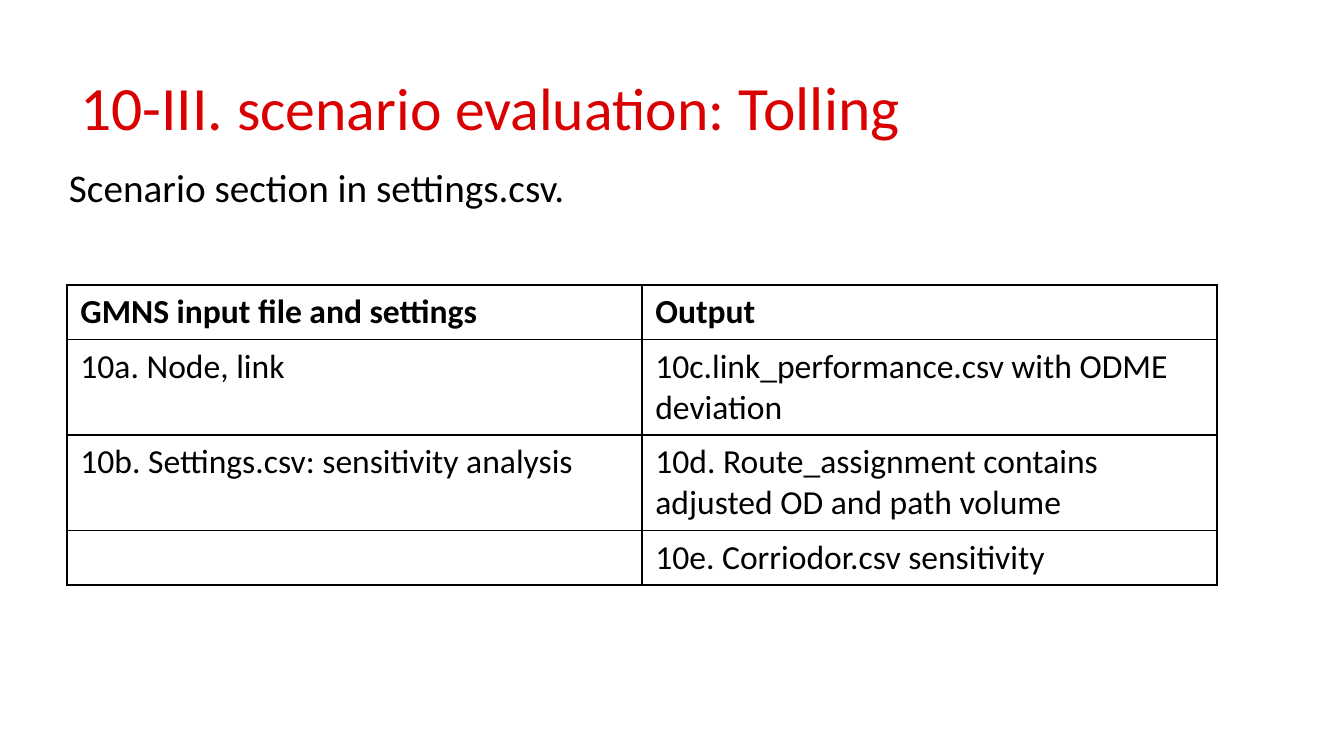
from lxml.etree import SubElement
from pptx import Presentation
from pptx.dml.color import RGBColor
from pptx.enum.text import MSO_ANCHOR, MSO_AUTO_SIZE, PP_ALIGN
from pptx.oxml import parse_xml
from pptx.oxml.ns import nsdecls, qn
from pptx.util import Pt

SCALE = 914400 / 134.4
COLORS = {"title": "DA0002", "text": "000000", "border": "000000"}


def px(length):
    return round(length * SCALE)


def write(paragraph, text, size=18, color="text", bold=False):
    span = paragraph.add_run()
    span.text = text
    span.font.name = "Calibri"
    span.font.size = Pt(size)
    span.font.bold = bold
    span.font.color.rgb = RGBColor.from_string(COLORS[color])


deck = Presentation()
deck.slide_width, deck.slide_height = px(1344), px(756)
page = deck.slides.add_slide(deck.slide_layouts[1])
title, body = page.placeholders

frames = [
    (title, (67, 31, 1210, 126), MSO_ANCHOR.BOTTOM),
    (body, (56, 156, 681, 358), MSO_ANCHOR.TOP),
]
for box, place, anchor in frames:
    box.left, box.top, box.width, box.height = map(px, place)
    frame = box.text_frame
    frame.word_wrap = True
    frame.auto_size = MSO_AUTO_SIZE.NONE
    frame.vertical_anchor = anchor
    frame.margin_left = frame.margin_right = px(13)
    frame.margin_top = frame.margin_bottom = px(13)
    paragraph = frame.paragraphs[0]
    properties = paragraph._p.get_or_add_pPr()
    properties.set("marL", "0")
    properties.set("indent", "0")
    SubElement(properties, qn("a:buNone"))
    paragraph.alignment = PP_ALIGN.LEFT
    paragraph.line_spacing = 0.9
    paragraph.space_before = Pt(0)

heading = title.text_frame.paragraphs[0]
for text, size in [("10-III. ", 33), ("scenario evaluation: ", 32), ("Tolling", 33)]:
    write(heading, text, size=size, color="title")
write(body.text_frame.paragraphs[0], "Scenario section in settings.csv.", size=21)

rows = [
    ("GMNS input file and settings", "Output"),
    ("10a. Node, link", "10c.link_performance.csv with ODME deviation"),
    (
        "10b. Settings.csv: sensitivity analysis",
        "10d. Route_assignment contains adjusted OD and path volume",
    ),
    ("", "10e. Corriodor.csv sensitivity"),
]
table = page.shapes.add_table(
    len(rows), 2, px(67), px(285), px(1150), px(54 * len(rows))
).table
table.first_row = table.horz_banding = False

for row_index, row in enumerate(rows):
    for column_index, text in enumerate(row):
        cell = table.cell(row_index, column_index)
        cell_properties = cell._tc.get_or_add_tcPr()
        for side in ("lnL", "lnR", "lnT", "lnB"):
            cell_properties.append(parse_xml(
                f'<a:{side} {nsdecls("a")} w="12700"><a:solidFill>'
                f'<a:srgbClr val="{COLORS["border"]}"/></a:solidFill></a:{side}>'
            ))
        cell.fill.background()
        if text:
            write(cell.text_frame.paragraphs[0], text, bold=row_index == 0)

deck.save("out.pptx")
